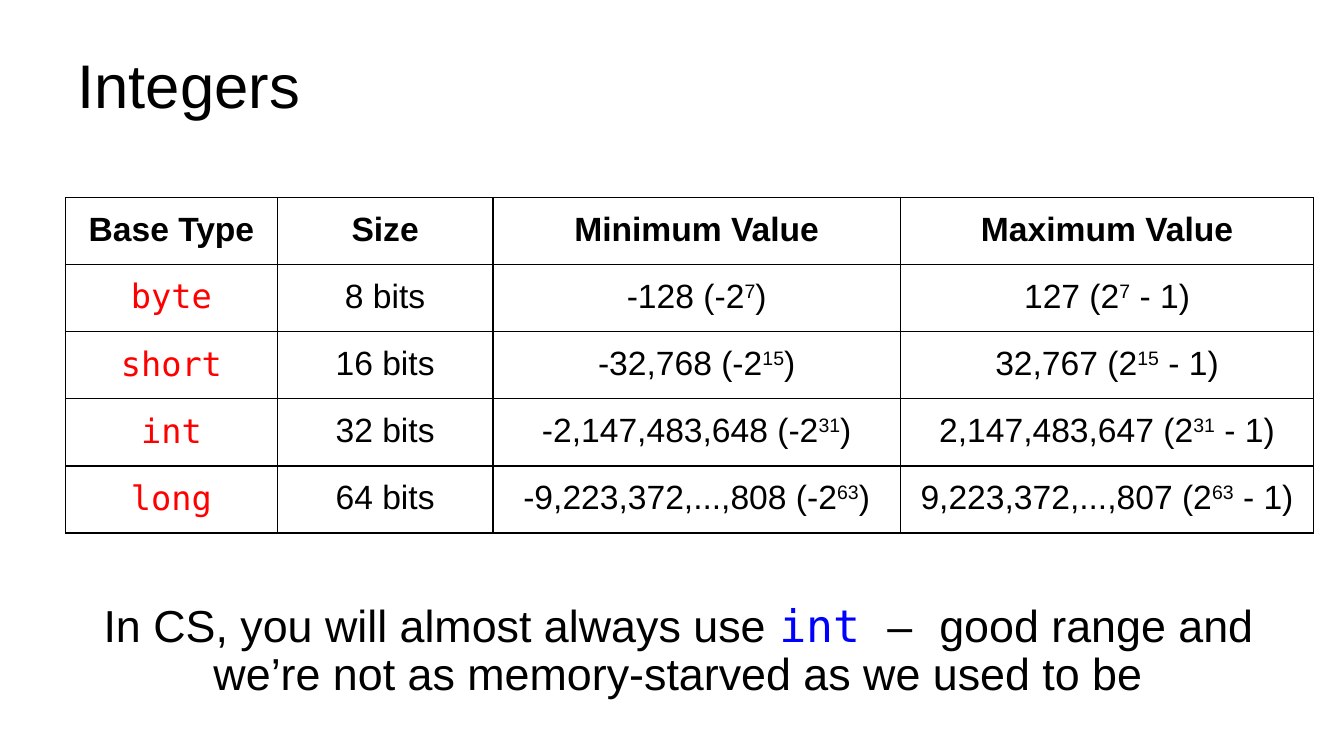
from dataclasses import dataclass

from lxml.etree import SubElement
from pptx import Presentation
from pptx.dml.color import RGBColor as RGB
from pptx.enum.text import MSO_ANCHOR as Anchor, PP_ALIGN as Align
from pptx.oxml.ns import qn
from pptx.util import Pt

PX = 9144  # 100 px to the inch


@dataclass(frozen=True)
class Theme:
    sans: str = "Arial"
    mono: str = "DejaVu Sans Mono"
    ink: str = "000000"
    paper: str = "FFFFFF"
    type_ink: str = "FF0000"
    code_ink: str = "0000FF"
    title: int = 44
    note: int = 32
    cell: int = 24
    rule: int = 12700


LOOK = Theme()
HEADS = ["Base Type", "Size", "Minimum Value", "Maximum Value"]
TYPES = [
    ("byte", 8, "-128", "127"),
    ("short", 16, "-32,768", "32,767"),
    ("int", 32, "-2,147,483,648", "2,147,483,647"),
    ("long", 64, "-9,223,372,...,808", "9,223,372,...,807"),
]
WIDTHS = [210, 214, 404, 410]


def px(*nums):
    return [num * PX for num in nums]


def add_run(para, text, size, ink=LOOK.ink, face=LOOK.sans, bold=False, up=False):
    run = para.add_run()
    run.text = text
    font = run.font
    font.size, font.name, font.bold = Pt(size), face, bold
    font.color.rgb = RGB.from_string(ink)
    if up:
        run._r.get_or_add_rPr().set("baseline", "30000")


def set_pad(item, pad):
    item.margin_left = item.margin_right = pad * PX
    item.margin_top = item.margin_bottom = pad * PX


def add_box(slide, box, pad, anchor, align):
    """Add a wrapping text box and return its first paragraph."""
    frame = slide.shapes.add_textbox(*px(*box)).text_frame
    frame.word_wrap = True
    frame.vertical_anchor = anchor
    set_pad(frame, pad)
    para = frame.paragraphs[0]
    para.alignment, para.line_spacing = align, 0.9
    return para


def add_title(slide, box):
    para = add_box(slide, box, 10, Anchor.MIDDLE, Align.LEFT)
    add_run(para, "Integers", LOOK.title)


def add_note(slide, box):
    para = add_box(slide, box, 13, Anchor.TOP, Align.CENTER)
    add_run(para, "In CS, you will almost always use ", LOOK.note)
    add_run(para, "int ", LOOK.note, LOOK.code_ink, LOOK.mono)
    add_run(para, "–", LOOK.note)
    add_run(para, " ", LOOK.note, face=LOOK.mono)
    add_run(para, "good range and we’re not as memory-starved as we used to be",
            LOOK.note)


def add_rules(cell):
    """Draw a thin line on all four sides of a cell."""
    props = cell._tc.get_or_add_tcPr()
    for side in ("lnL", "lnR", "lnT", "lnB"):
        line = SubElement(props, qn(f"a:{side}"), w=str(LOOK.rule))
        fill = SubElement(line, qn("a:solidFill"))
        SubElement(fill, qn("a:srgbClr"), val=LOOK.ink)


def fill_cell(cell, runs):
    set_pad(cell, 13)
    add_rules(cell)
    cell.fill.solid()
    cell.fill.fore_color.rgb = RGB.from_string(LOOK.paper)
    para = cell.text_frame.paragraphs[0]
    para.alignment = Align.CENTER
    for text, style in runs:
        add_run(para, text, LOOK.cell, **style)


def type_row(name, bits, low, high):
    """Return the runs of each cell for one integer type."""
    power = (str(bits - 1), {"up": True})
    return [
        [(name, {"ink": LOOK.type_ink, "face": LOOK.mono})],
        [(f"{bits} bits", {})],
        [(f"{low} (-2", {}), power, (")", {})],
        [(f"{high} (2", {}), power, (" - 1)", {})],
    ]


def add_types(slide, box):
    rows = [[[(head, {"bold": True})] for head in HEADS]]
    rows += [type_row(*item) for item in TYPES]
    table = slide.shapes.add_table(len(rows), len(HEADS), *px(*box)).table
    table.first_row = table.horz_banding = False
    for col, width in zip(table.columns, WIDTHS):
        col.width = width * PX
    for row, cells in zip(table.rows, rows):
        row.height = box[3] * PX // len(rows)
        for cell, runs in zip(row.cells, cells):
            fill_cell(cell, runs)


def main():
    deck = Presentation()
    deck.slide_width, deck.slide_height = px(1333, 750)
    slide = deck.slides.add_slide(deck.slide_layouts[6])
    add_types(slide, (65, 196, sum(WIDTHS), 333))
    add_note(slide, (69, 586, 1208, 127))
    add_title(slide, (67, 25, 1200, 125))
    deck.save("out.pptx")


if __name__ == "__main__":
    main()
